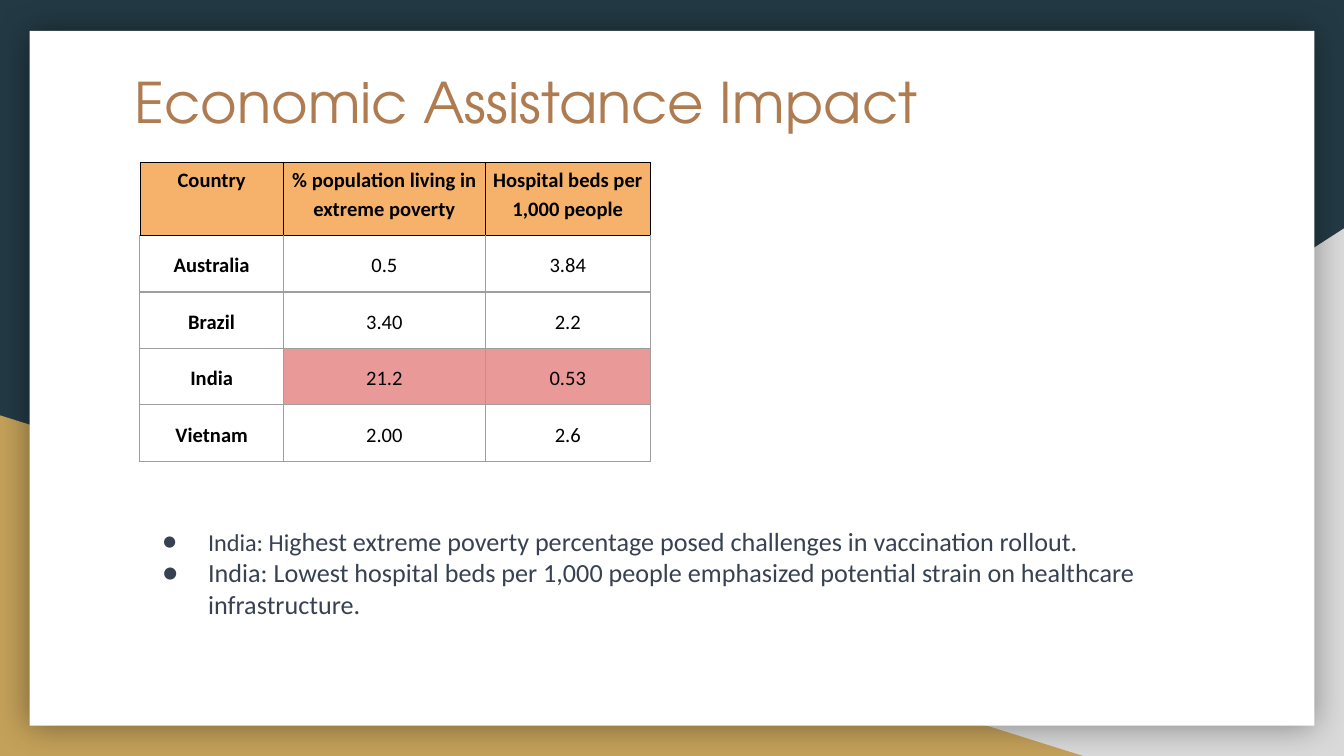
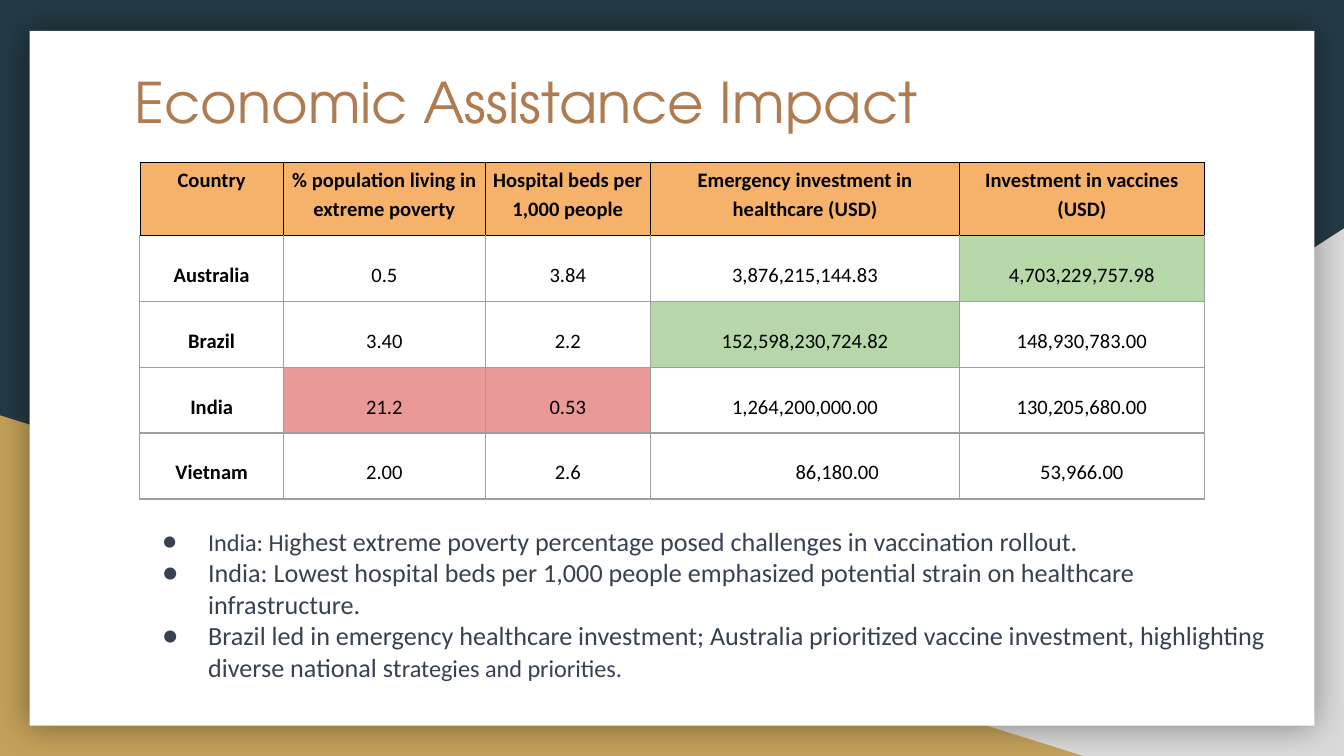
from lxml import etree
from pptx import Presentation
from pptx.dml.color import RGBColor
from pptx.enum.shapes import MSO_SHAPE
from pptx.enum.text import MSO_ANCHOR, MSO_AUTO_SIZE, PP_ALIGN
from pptx.oxml.ns import qn
from pptx.util import Inches, Pt

TRIANGLE, RECTANGLE = MSO_SHAPE.RIGHT_TRIANGLE, MSO_SHAPE.RECTANGLE
TOP, BOTTOM = MSO_ANCHOR.TOP, MSO_ANCHOR.BOTTOM
LEFT, CENTER = PP_ALIGN.LEFT, PP_ALIGN.CENTER
NO_AUTOFIT = MSO_AUTO_SIZE.NONE

SLIDE_WIDTH = 10
SLIDE_HEIGHT = SLIDE_WIDTH * 9 / 16
NAVY, GREY, GOLD, WHITE, BLACK = "233A44", "D9D9D9", "C4A15A", "FFFFFF", "000000"
COPPER, SLATE, GRID = "AF7B51", "374151", "9E9E9E"
ORANGE, RED, GREEN = "F6B26B", "EA9999", "B6D7A8"
TITLE_FONT, BODY_FONT = "TeX Gyre Adventor", "Calibri"

TITLE = "Economic Assistance Impact"
COUNTRY_DATA = [
    ["Country", "% population living in extreme poverty", "Hospital beds per 1,000 people",
     "Emergency investment in healthcare (USD)", "Investment in vaccines (USD)"],
    ["Australia", "0.5", "3.84", "3,876,215,144.83", "4,703,229,757.98"],
    ["Brazil", "3.40", "2.2", "152,598,230,724.82", "148,930,783.00"],
    ["India", "21.2", "0.53", "1,264,200,000.00", "130,205,680.00"],
    ["Vietnam", "2.00", "2.6", "86,180.00", "53,966.00"],
]
COLUMN_WIDTHS = [1.07, 1.5, 1.23, 2.3, 1.82]
HEADER_HEIGHT = 0.54
HIGHLIGHTS = {(3, 1): RED, (3, 2): RED, (2, 3): GREEN, (1, 4): GREEN}
EXTRA_LEFT_MARGINS = {(4, 3): 0.48}

# Each finding is a list of (text, size) runs
FINDINGS = [
    [("India: Hi", 13),
     ("ghest extreme poverty percentage posed challenges in vaccination rollout.", 14)],
    [("India: Lowest hospital beds per 1,000 people emphasized potential strain on "
      "healthcare infrastructure.", 14)],
    [("Brazil led in emergency healthcare investment; Australia prioritized vaccine "
      "investment, highlighting diverse national st", 14), ("rategies and priorities.", 13)],
]


def rgb(hex_color):
    return RGBColor.from_string(hex_color)


def style_run(run, font, size, color, bold=False):
    run.font.name = font
    run.font.size = Pt(size)
    run.font.color.rgb = rgb(color)
    run.font.bold = bold


def set_margins(frame, left, top, right, bottom):
    frame.margin_left, frame.margin_top = Inches(left), Inches(top)
    frame.margin_right, frame.margin_bottom = Inches(right), Inches(bottom)


def place(shape, left, top, width, height):
    shape.left, shape.top = Inches(left), Inches(top)
    shape.width, shape.height = Inches(width), Inches(height)


def add_panel(slide, kind, color, left, top, width, height):
    panel = slide.shapes.add_shape(kind, Inches(left), Inches(top), Inches(width), Inches(height))
    panel.shadow.inherit = False
    panel.fill.solid()
    panel.fill.fore_color.rgb = rgb(color)
    panel.line.fill.background()
    return panel


def add_glow_shadow(panel, blur, opacity):
    effects = panel.element.spPr.find(qn("a:effectLst"))
    shadow = etree.SubElement(effects, qn("a:outerShdw"), blurRad=str(Pt(blur)), dist="0",
                              dir="0", algn="ctr", rotWithShape="0")
    color = etree.SubElement(shadow, qn("a:srgbClr"), val=BLACK)
    etree.SubElement(color, qn("a:alpha"), val=str(opacity * 1000))


def dress_layout(layout, slide):
    """Give the layout the shared backdrop, drawn on a slide and moved behind the title."""
    layout.background.fill.solid()
    layout.background.fill.fore_color.rgb = rgb(NAVY)
    for placeholder in list(layout.placeholders):
        if placeholder.placeholder_format.idx != 0:
            placeholder.element.getparent().remove(placeholder.element)

    grey_corner = add_panel(slide, TRIANGLE, GREY, 3.92, 1.7, 6.08, SLIDE_HEIGHT - 1.7)
    grey_corner.element.spPr.find(qn("a:xfrm")).set("flipH", "1")
    gold_corner = add_panel(slide, TRIANGLE, GOLD, 0, 3.09, 8.06, SLIDE_HEIGHT - 3.09)
    card = add_panel(slide, RECTANGLE, WHITE, 0.22, 0.23, 9.56, 5.17)
    add_glow_shadow(card, blur=18, opacity=40)

    layout_title = layout.placeholders[0].element
    for panel in (grey_corner, gold_corner, card):
        layout_title.addprevious(panel.element)


def set_title(slide):
    title = slide.shapes.title
    place(title, 0.9, 0.4, 8.21, 1.04)
    frame = title.text_frame
    frame.text = TITLE
    frame.word_wrap = True
    frame.auto_size = NO_AUTOFIT
    frame.vertical_anchor = TOP
    set_margins(frame, 0.1, 0.1, 0.1, 0.1)
    frame.paragraphs[0].alignment = LEFT
    style_run(frame.paragraphs[0].runs[0], TITLE_FONT, 30, COPPER)


def set_borders(cell, row):
    cell_properties = cell._tc.get_or_add_tcPr()
    for side in ("lnL", "lnR", "lnT", "lnB"):
        dark = row == 0 or (row == 1 and side == "lnT")
        color, width = (BLACK, 0.38) if dark else (GRID, 0.75)
        border = etree.SubElement(cell_properties, qn(f"a:{side}"), w=str(Pt(width)))
        fill = etree.SubElement(border, qn("a:solidFill"))
        etree.SubElement(fill, qn("a:srgbClr"), val=color)


def fill_cell(cell, row, column, text):
    is_header = row == 0
    set_borders(cell, row)
    color = ORANGE if is_header else HIGHLIGHTS.get((row, column))
    if color:
        cell.fill.solid()
        cell.fill.fore_color.rgb = rgb(color)
    else:
        cell.fill.background()

    set_margins(cell, 0.01 + EXTRA_LEFT_MARGINS.get((row, column), 0), 0.01, 0.01, 0.1)
    cell.vertical_anchor = TOP if is_header else BOTTOM
    cell.text_frame.text = text
    paragraph = cell.text_frame.paragraphs[0]
    paragraph.alignment = CENTER
    if is_header or column in (1, 2):
        paragraph.line_spacing = 1.15
    style_run(paragraph.runs[0], BODY_FONT, 11, BLACK, bold=is_header or column == 0)


def add_country_table(slide, column_count, row_height):
    widths = COLUMN_WIDTHS[:column_count]
    heights = [HEADER_HEIGHT] + [row_height] * (len(COUNTRY_DATA) - 1)
    table = slide.shapes.add_table(len(heights), column_count, Inches(1.04), Inches(1.21),
                                   Inches(sum(widths)), Inches(sum(heights))).table
    table.first_row = table.horz_banding = False
    for column, width in zip(table.columns, widths):
        column.width = Inches(width)
    for row, height in zip(table.rows, heights):
        row.height = Inches(height)
    for row, values in enumerate(COUNTRY_DATA):
        for column, text in enumerate(values[:column_count]):
            fill_cell(table.cell(row, column), row, column, text)


def set_bullet(paragraph):
    properties = paragraph._p.get_or_add_pPr()
    properties.set("marL", str(Inches(0.5)))
    properties.set("indent", str(Inches(-0.34)))
    bullet_color = etree.SubElement(properties, qn("a:buClr"))
    etree.SubElement(bullet_color, qn("a:srgbClr"), val=SLATE)
    etree.SubElement(properties, qn("a:buFont"), typeface=BODY_FONT)
    etree.SubElement(properties, qn("a:buChar"), char="●")


def add_findings(slide, findings):
    box = slide.shapes.add_textbox(Inches(0.95), Inches(3.81), Inches(8.6), Inches(1.52))
    frame = box.text_frame
    frame.word_wrap = True
    set_margins(frame, 0.1, 0.1, 0.1, 0.1)
    for index, finding in enumerate(findings):
        paragraph = frame.add_paragraph() if index else frame.paragraphs[0]
        set_bullet(paragraph)
        for text, size in finding:
            run = paragraph.add_run()
            run.text = text
            style_run(run, BODY_FONT, size, SLATE)


def main():
    prs = Presentation()
    prs.slide_width, prs.slide_height = Inches(SLIDE_WIDTH), Inches(SLIDE_HEIGHT)
    title_only = prs.slide_layouts[5]

    # Needs first, then needs with investments
    needs_slide = prs.slides.add_slide(title_only)
    dress_layout(title_only, needs_slide)
    investment_slide = prs.slides.add_slide(title_only)

    for slide, column_count, row_height, finding_count in (
        (needs_slide, 3, 0.42, 2),
        (investment_slide, 5, 0.49, 3),
    ):
        set_title(slide)
        add_country_table(slide, column_count, row_height)
        add_findings(slide, FINDINGS[:finding_count])

    prs.save("out.pptx")


if __name__ == "__main__":
    main()
